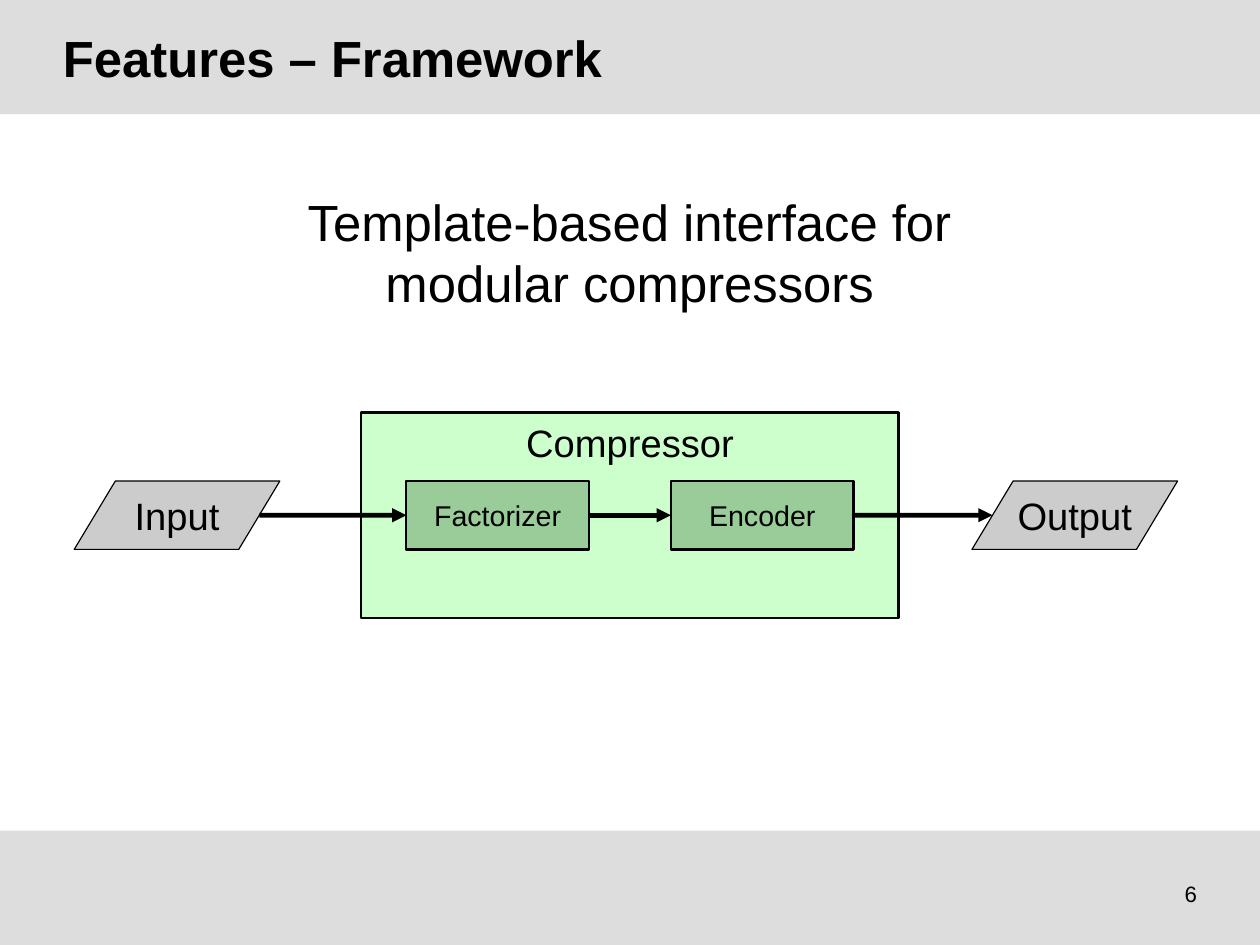
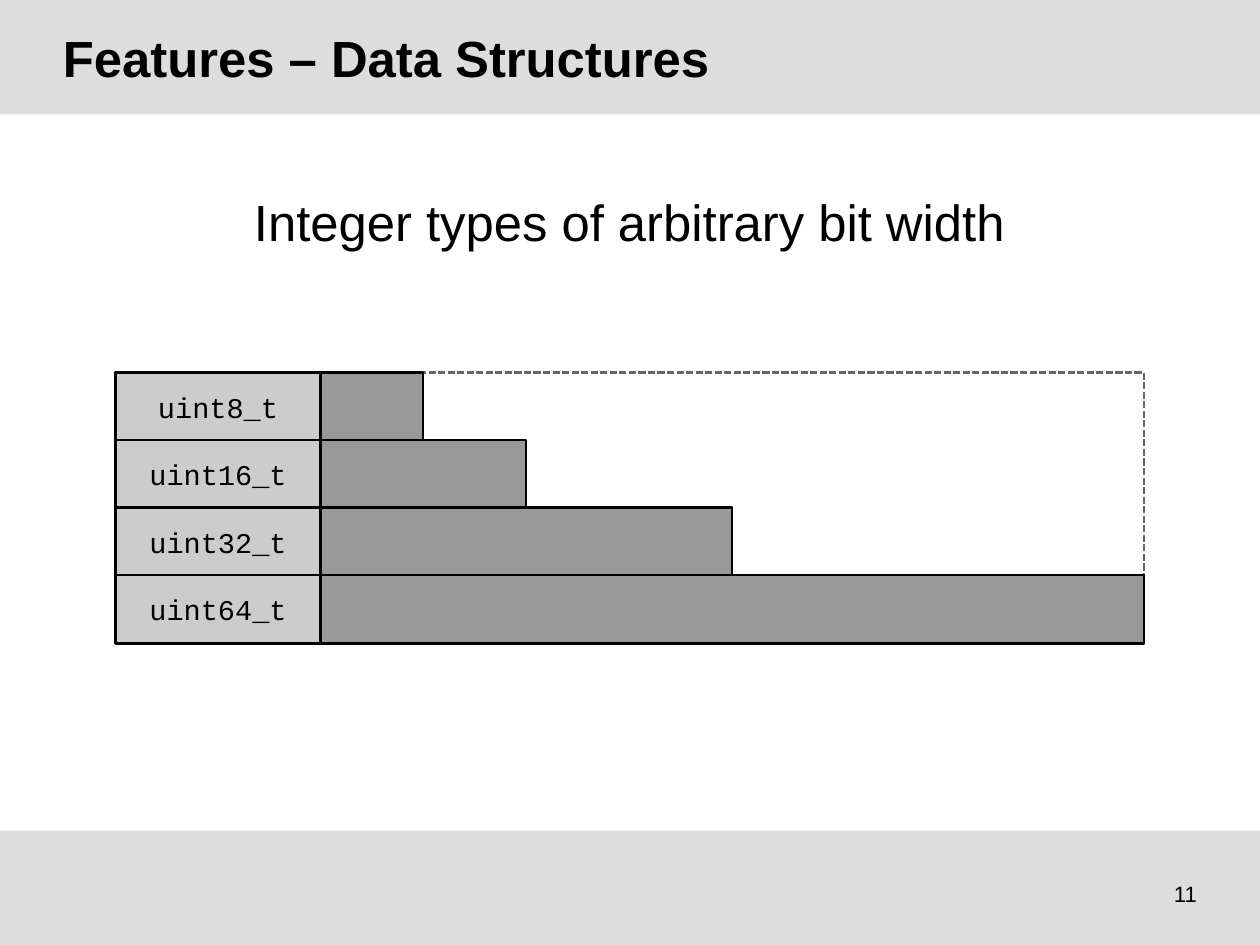
from lxml import etree
from pptx import Presentation
from pptx.dml.color import RGBColor
from pptx.enum.dml import MSO_LINE
from pptx.enum.shapes import MSO_CONNECTOR, MSO_SHAPE
from pptx.enum.text import MSO_ANCHOR, PP_ALIGN
from pptx.oxml.ns import qn
from pptx.util import Cm, Pt

RECTANGLE = MSO_SHAPE.RECTANGLE
DATA = MSO_SHAPE.FLOWCHART_DATA
STRAIGHT = MSO_CONNECTOR.STRAIGHT
DASHED = MSO_LINE.SQUARE_DOT
TOP, MIDDLE = MSO_ANCHOR.TOP, MSO_ANCHOR.MIDDLE
LEFT, CENTER, RIGHT = PP_ALIGN.LEFT, PP_ALIGN.CENTER, PP_ALIGN.RIGHT
LEFT_SIDE, RIGHT_SIDE = 1, 3

# Shared style, lengths in centimetres
BODY_FONT, CODE_FONT = "Arial", "Courier New"
BLACK = "000000"
BAND_GRAY, LIGHT_GRAY, MID_GRAY, FRAME_GRAY = "DDDDDD", "CCCCCC", "999999", "666666"
LIGHT_GREEN, GREEN = "CCFFCC", "99CC99"
SLIDE_WIDTH, SLIDE_HEIGHT = 28, 21
BAND_HEIGHT = 2.54
MARGIN = 1.4
CONTENT_WIDTH = SLIDE_WIDTH - 2 * MARGIN
BOX_HEIGHT = 1.52


def color(hex_string):
    return RGBColor.from_string(hex_string)


def set_text(shape, text, size, font=BODY_FONT, bold=False, align=CENTER,
             anchor=MIDDLE, wrap=False, inset=(0.28, 0.15)):
    frame = shape.text_frame
    frame.text = text
    frame.word_wrap = wrap
    frame.vertical_anchor = anchor
    frame.margin_left = frame.margin_right = Cm(inset[0])
    frame.margin_top = frame.margin_bottom = Cm(inset[1])
    for paragraph in frame.paragraphs:
        paragraph.alignment = align
        for run in paragraph.runs:
            run.font.name = font
            run.font.size = Pt(size)
            run.font.bold = bold
            run.font.color.rgb = color(BLACK)


def add_text(slide, text, left, top, width, height, size, **style):
    shape = slide.shapes.add_textbox(Cm(left), Cm(top), Cm(width), Cm(height))
    set_text(shape, text, size, wrap=True, **style)


def add_box(slide, left, top, width, height, fill=None, line=BLACK,
            line_width=1.5, kind=RECTANGLE):
    shape = slide.shapes.add_shape(kind, Cm(left), Cm(top), Cm(width), Cm(height))
    shape.shadow.inherit = False
    if fill:
        shape.fill.solid()
        shape.fill.fore_color.rgb = color(fill)
    else:
        shape.fill.background()
    if line:
        shape.line.color.rgb = color(line)
        shape.line.width = Pt(line_width)
    else:
        shape.line.fill.background()
    return shape


def add_arrow(slide, start, end, y, source=None, target=None):
    arrow = slide.shapes.add_connector(STRAIGHT, Cm(start), Cm(y), Cm(end), Cm(y))
    if source:
        arrow.begin_connect(source, RIGHT_SIDE)
    if target:
        arrow.end_connect(target, LEFT_SIDE)
    arrow.line.color.rgb = color(BLACK)
    arrow.line.width = Pt(3)
    etree.SubElement(arrow.line._get_or_add_ln(), qn("a:tailEnd"), type="triangle")
    etree.SubElement(arrow._element.spPr, qn("a:effectLst"))


def add_slide(presentation, title, statement, number):
    """Slide with both bands, title, centred statement and page number."""
    slide = presentation.slides.add_slide(presentation.slide_layouts[6])
    for top in (SLIDE_HEIGHT - BAND_HEIGHT, 0):
        add_box(slide, 0, top, SLIDE_WIDTH, BAND_HEIGHT, BAND_GRAY, line=None)
    add_text(slide, title, MARGIN, 0.53, CONTENT_WIDTH, 1.5, 32,
             bold=True, align=LEFT, inset=(0, 0))
    add_text(slide, statement, MARGIN, 4.1, CONTENT_WIDTH, 2.8, 32,
             anchor=TOP, inset=(0.25, 0.13))
    add_text(slide, str(number), SLIDE_WIDTH - MARGIN - 6.5, 19.13, 6.5, 1.45, 14,
             align=RIGHT, inset=(0, 0))
    return slide


def add_compressor_diagram(slide):
    row_top = 10.69
    row_middle = row_top + BOX_HEIGHT / 2

    # Compressor with its two modules, placed symmetrically
    compressor_width, module_width, padding = 11.94, 4.06, 1
    compressor_left = (SLIDE_WIDTH - compressor_width) / 2
    compressor = add_box(slide, compressor_left, 9.17, compressor_width, 4.57, LIGHT_GREEN)
    set_text(compressor, "Compressor", 24, anchor=TOP)
    factorizer_left = compressor_left + padding
    encoder_left = compressor_left + compressor_width - padding - module_width
    modules = []
    for name, left in (("Factorizer", factorizer_left), ("Encoder", encoder_left)):
        module = add_box(slide, left, row_top, module_width, BOX_HEIGHT, GREEN)
        set_text(module, name, 18)
        modules.append(module)
    factorizer, encoder = modules

    # Input and output; the slanted side's middle lies a tenth of the width inside
    data_width, input_left, output_left = 4.57, 1.65, 21.6
    slant = data_width / 10
    for name, left in (("Input", input_left), ("Output", output_left)):
        data = add_box(slide, left, row_top, data_width, BOX_HEIGHT, LIGHT_GRAY,
                       line_width=0, kind=DATA)
        set_text(data, name, 24)

    # Data flow
    add_arrow(slide, input_left + data_width - slant, factorizer_left, row_middle,
              target=factorizer)
    add_arrow(slide, factorizer_left + module_width, encoder_left, row_middle,
              source=factorizer, target=encoder)
    add_arrow(slide, encoder_left + module_width, output_left + slant, row_middle,
              source=encoder)


def add_bit_width_diagram(slide):
    left, top, row_pitch = 2.57, 8.28, 1.5
    label_width, bit_width = 4.55, 0.286
    bit_counts = (8, 16, 32, 64)

    # Dashed frame around the widest type
    frame = add_box(slide, left, top, label_width + bit_counts[-1] * bit_width,
                    row_pitch * len(bit_counts), line=FRAME_GRAY)
    frame.line.dash_style = DASHED

    # One label and one bar per type
    for row, bits in enumerate(bit_counts):
        row_top = top + row * row_pitch
        label = add_box(slide, left, row_top, label_width, BOX_HEIGHT, LIGHT_GRAY)
        set_text(label, f"uint{bits}_t", 18, font=CODE_FONT)
        add_box(slide, left + label_width, row_top, bits * bit_width, BOX_HEIGHT, MID_GRAY)


def main():
    presentation = Presentation()
    presentation.slide_width = Cm(SLIDE_WIDTH)
    presentation.slide_height = Cm(SLIDE_HEIGHT)
    add_compressor_diagram(add_slide(
        presentation, "Features – Framework",
        "Template-based interface for\nmodular compressors", 6))
    add_bit_width_diagram(add_slide(
        presentation, "Features – Data Structures",
        "Integer types of arbitrary bit width", 11))
    presentation.save("out.pptx")


if __name__ == "__main__":
    main()
